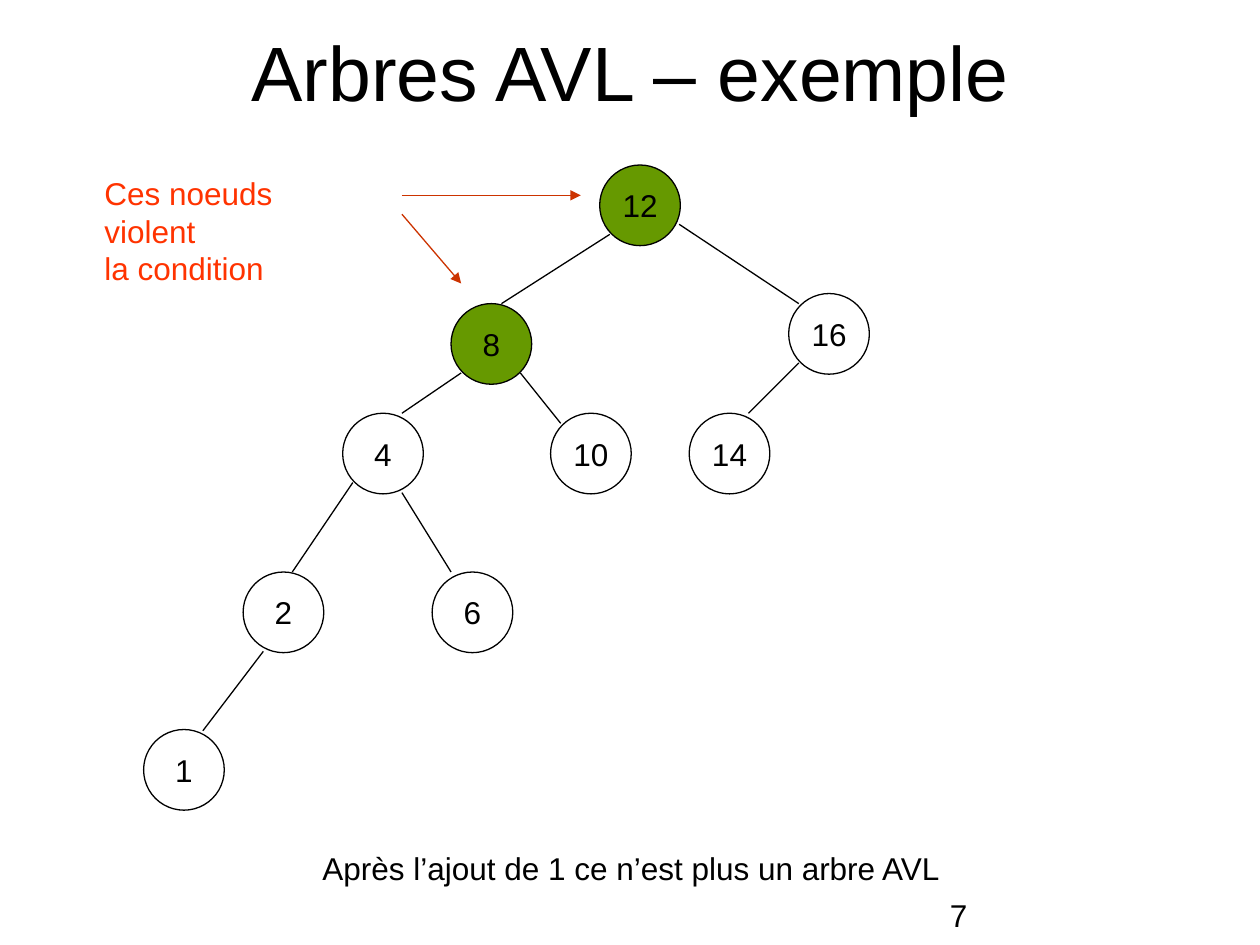
"""Build the slide showing an AVL tree that is unbalanced after an insertion."""
from lxml import etree
from pptx import Presentation
from pptx.dml.color import RGBColor
from pptx.enum.shapes import MSO_CONNECTOR, MSO_SHAPE
from pptx.enum.text import MSO_ANCHOR, PP_ALIGN
from pptx.oxml.ns import qn
from pptx.util import Inches, Pt


def rgb(value):
    return RGBColor.from_string(value)


def write(tf, lines, size=18, color="000000", align=PP_ALIGN.LEFT):
    for i, line in enumerate(lines):
        p = tf.paragraphs[0] if i == 0 else tf.add_paragraph()
        p.alignment = align
        r = p.add_run()
        r.text = line
        r.font.name = "Arial"
        r.font.size = Pt(size)
        r.font.color.rgb = rgb(color)


prs = Presentation()
prs.slide_width, prs.slide_height = Inches(10), Inches(7.5)
s = prs.slides.add_slide(prs.slide_layouts[5])

title = s.shapes.title
title.left, title.top = Inches(0.2), Inches(0.13)
title.width, title.height = Inches(9.61), Inches(0.87)
title.text_frame.vertical_anchor = MSO_ANCHOR.MIDDLE
write(title.text_frame, ["Arbres AVL – exemple"], 44, align=PP_ALIGN.CENTER)

DIAMETER = Inches(0.64)
violating = {"12", "8"}
nodes = [
    ("12", 4.76, 1.31),
    ("8", 3.58, 2.41),
    ("16", 6.26, 2.33),
    ("4", 2.72, 3.28),
    ("10", 4.37, 3.28),
    ("14", 5.47, 3.28),
    ("2", 1.93, 4.54),
    ("6", 3.43, 4.54),
    ("1", 1.14, 5.79),
]
for key, x, y in nodes:
    sp = s.shapes.add_shape(MSO_SHAPE.OVAL, Inches(x), Inches(y), DIAMETER, DIAMETER)
    sp.name = f"Node {key}"
    sp.shadow.inherit = False
    if key in violating:
        sp.fill.solid()
        sp.fill.fore_color.rgb = rgb("669900")
    else:
        sp.fill.background()
    sp.line.color.rgb = rgb("000000")
    sp.line.width = Pt(0.75)
    tf = sp.text_frame
    tf.margin_left = tf.margin_right = tf.margin_top = tf.margin_bottom = 0
    tf.word_wrap = False
    tf.vertical_anchor = MSO_ANCHOR.MIDDLE
    write(tf, [key], align=PP_ALIGN.CENTER)

edges = [
    (4.84, 1.86, 3.98, 2.41),
    (5.39, 1.78, 6.34, 2.41),
    (6.34, 2.88, 5.94, 3.28),
    (4.13, 2.96, 4.45, 3.36),
    (3.66, 2.96, 3.19, 3.28),
    (3.19, 3.91, 3.58, 4.54),
    (2.8, 3.83, 2.32, 4.54),
    (2.09, 5.17, 1.61, 5.8),
]
arrows = [(3.19, 1.55, 4.61, 1.55), (3.19, 1.7, 3.66, 2.25)]
for ends in edges + arrows:
    line = s.shapes.add_connector(MSO_CONNECTOR.STRAIGHT, *map(Inches, ends))
    line.line.color.rgb = rgb("CC3300" if ends in arrows else "000000")
    line.line.width = Pt(0.75)
    if ends in arrows:
        etree.SubElement(line.line._get_or_add_ln(), qn("a:tailEnd"), type="triangle")
    etree.SubElement(line._element.spPr, qn("a:effectLst"))

labels = [
    (0.73, 1.33, 2.32, 0.7, ["Ces noeuds violent", "la condition"], "FF3300"),
    (2.46, 6.69, 5.13, 0.4, ["Après l’ajout de 1 ce n’est plus un arbre AVL"], "000000"),
    (7.44, 7.06, 2.36, 0.28, ["7"], "000000"),
]
for x, y, w, h, lines, color in labels:
    tb = s.shapes.add_textbox(Inches(x), Inches(y), Inches(w), Inches(h))
    tb.text_frame.word_wrap = len(lines[0]) == 1
    write(tb.text_frame, lines, color=color)

prs.save("out.pptx")
